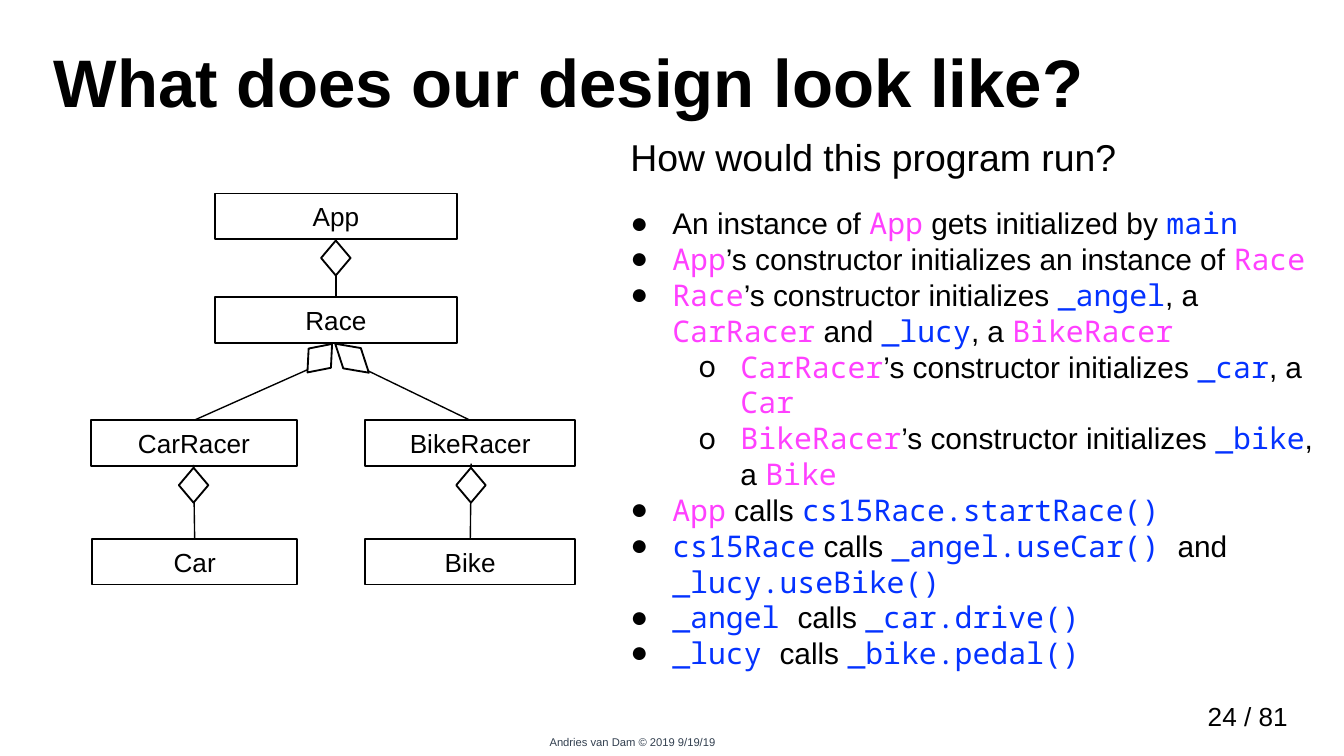
"""Builds a slide with a class containment diagram and a walk through the program's run."""
from lxml.etree import SubElement
from pptx import Presentation
from pptx.dml.color import RGBColor
from pptx.enum.shapes import MSO_CONNECTOR, MSO_SHAPE
from pptx.enum.text import MSO_ANCHOR, MSO_AUTO_SIZE, PP_ALIGN
from pptx.oxml.ns import qn
from pptx.util import Pt

COLORS = {"black": "000000", "white": "FFFFFF", "class": "FF40FF", "code": "0432FF", "footer": "323F4F"}
SANS, MONO = "Arial", "Noto Sans Mono"


def add_run(paragraph, text, size, color="black", font=SANS, bold=False):
    run = paragraph.add_run()
    run.text = text
    for name, value in {"size": Pt(size), "name": font, "bold": bold}.items():
        setattr(run.font, name, value)
    run.font.color.rgb = RGBColor.from_string(COLORS[color])


def add_outlined(preset, left, top, width, height, rotation=0):
    shape = slide.shapes.add_shape(preset, Pt(left), Pt(top), Pt(width), Pt(height))
    shape.shadow.inherit = False
    shape.rotation = rotation
    shape.fill.solid()
    shape.fill.fore_color.rgb = RGBColor.from_string(COLORS["white"])
    shape.line.color.rgb = RGBColor.from_string(COLORS["black"])
    shape.line.width = Pt(1)
    return shape


deck = Presentation()
deck.slide_width, deck.slide_height = Pt(720), Pt(405)
slide = deck.slides.add_slide(deck.slide_layouts[1])
title, steps = slide.placeholders

frames = [(title, 21.6, 21.6, 675.4, 49, MSO_ANCHOR.MIDDLE),
          (steps, 330.5, 68.4, 385.2, 317.5, MSO_ANCHOR.TOP)]
for holder, left, top, width, height, anchor in frames:
    for name, value in {"left": left, "top": top, "width": width, "height": height}.items():
        setattr(holder, name, Pt(value))
    for name, value in {"vertical_anchor": anchor, "word_wrap": True, "auto_size": MSO_AUTO_SIZE.NONE}.items():
        setattr(holder.text_frame, name, value)

heading = title.text_frame.paragraphs[0]
heading.alignment = PP_ALIGN.LEFT
heading.line_spacing = 0.9
add_run(heading, "What does our design look like?", 36, bold=True)

classes = {
    "App": (115.2, 103.7, 129.6),
    "Race": (115.2, 159.1, 129.6),
    "CarRacer": (48.6, 225.2, 110.6),
    "BikeRacer": (195.8, 225.2, 112.3),
    "Car": (49.4, 288.7, 109.8),
    "Bike": (195.8, 288.7, 112.3),
}
boxes = {}
for name, (left, top, width) in classes.items():
    boxes[name] = add_outlined(MSO_SHAPE.RECTANGLE, left, top, width, 24.5)
    label = boxes[name].text_frame.paragraphs[0]
    label.alignment = PP_ALIGN.CENTER
    add_run(label, name, 14)

links = [("Race", 180, 129.6), ("CarRacer", 164.9, 198), ("BikeRacer", 195.8, 198),
         ("Car", 103.7, 249.1), ("Bike", 252.4, 248.4)]
for part, end_x, end_y in links:
    link = slide.shapes.add_connector(MSO_CONNECTOR.STRAIGHT, 0, 0, Pt(end_x), Pt(end_y))
    link.begin_connect(boxes[part], 0)
    link.line.color.rgb = RGBColor.from_string(COLORS["black"])
    link.line.width = Pt(0.75)
    SubElement(link.element.spPr, qn("a:effectLst"))

diamonds = [(172, 128.9, 15.8, 18.7, 0), (95.8, 250.6, 15.8, 18.7, 0), (244.4, 250.6, 15.8, 18.7, 0),
            (163.4, 181.8, 15.8, 20.2, 40.8), (176.7, 184.7, 23.8, 14.4, 220.8)]
for diamond in diamonds:
    add_outlined(MSO_SHAPE.FLOWCHART_DECISION, *diamond)

question = steps.text_frame.paragraphs[0]
question.space_before, question.space_after = Pt(0), Pt(13.8)
question_format = question._p.get_or_add_pPr()
for name in ("marL", "indent"):
    question_format.set(name, "0")
SubElement(question_format, qn("a:buNone"))
add_run(question, "How would this program run?", 20)

markers = {"#": "class", "@": "code"}
bullets = [("●", SANS, 22.5), ("o", MONO, 59)]
run_order = [
    (0, "An instance of |#App| gets initialized by |@main"),
    (0, "#App|’s constructor initializes an instance of |#Race"),
    (0, "#Race|’s constructor initializes |@_angel|, a |#CarRacer| and |@_lucy|, a |#BikeRacer"),
    (1, "#CarRacer|’s constructor initializes |@_car|, a |#Car"),
    (1, "#BikeRacer|’s constructor initializes |@_bike|, a |#Bike"),
    (0, "#App| calls |@cs15Race.startRace()"),
    (0, "@cs15Race| calls |@_angel.useCar() |and |@_lucy.useBike()"),
    (0, "@_angel |calls |@_car.drive()"),
    (0, "@_lucy |calls |@_bike.pedal()"),
]
for level, sentence in run_order:
    step = steps.text_frame.add_paragraph()
    step.level = level
    step.space_before = Pt(0)
    symbol, symbol_font, margin = bullets[level]
    step_format = step._p.get_or_add_pPr()
    step_format.set("marL", str(Pt(margin)))
    step_format.set("indent", str(Pt(-22.5)))
    SubElement(SubElement(step_format, qn("a:buClr")), qn("a:srgbClr"), val=COLORS["black"])
    SubElement(step_format, qn("a:buFont"), typeface=symbol_font)
    SubElement(step_format, qn("a:buChar"), char=symbol)
    for piece in sentence.split("|"):
        if piece[0] in markers:
            add_run(step, piece[1:], 16, markers[piece[0]], MONO)
        else:
            add_run(step, piece, 16)

notes = [("Andries van Dam © 2019 9/19/19", 239.8, 390.2, 198, 14.4, 6, "footer", PP_ALIGN.CENTER),
         ("24 / 81", 535, 371.5, 162, 21.6, 14, "black", PP_ALIGN.RIGHT)]
for text, left, top, width, height, size, color, alignment in notes:
    note = slide.shapes.add_textbox(Pt(left), Pt(top), Pt(width), Pt(height)).text_frame
    note.word_wrap = True
    note.paragraphs[0].alignment = alignment
    add_run(note.paragraphs[0], text, size, color)

deck.save("out.pptx")
